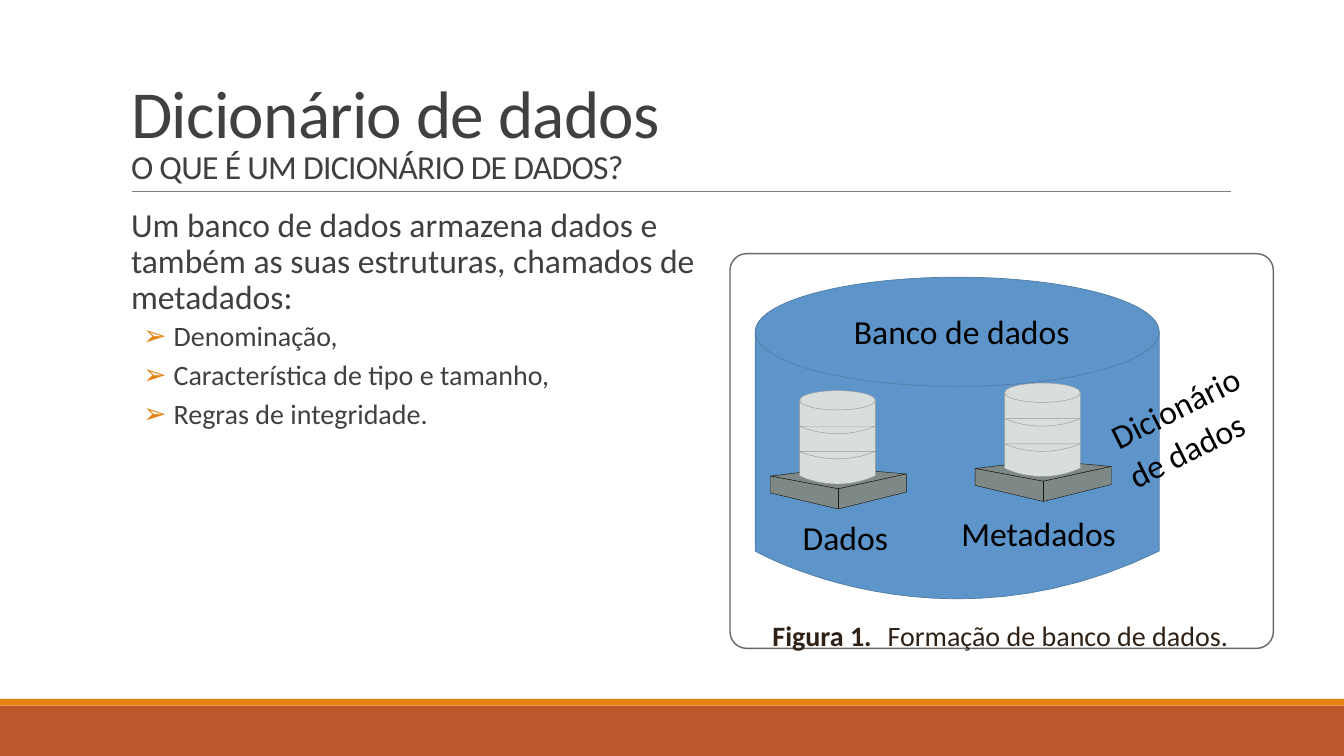
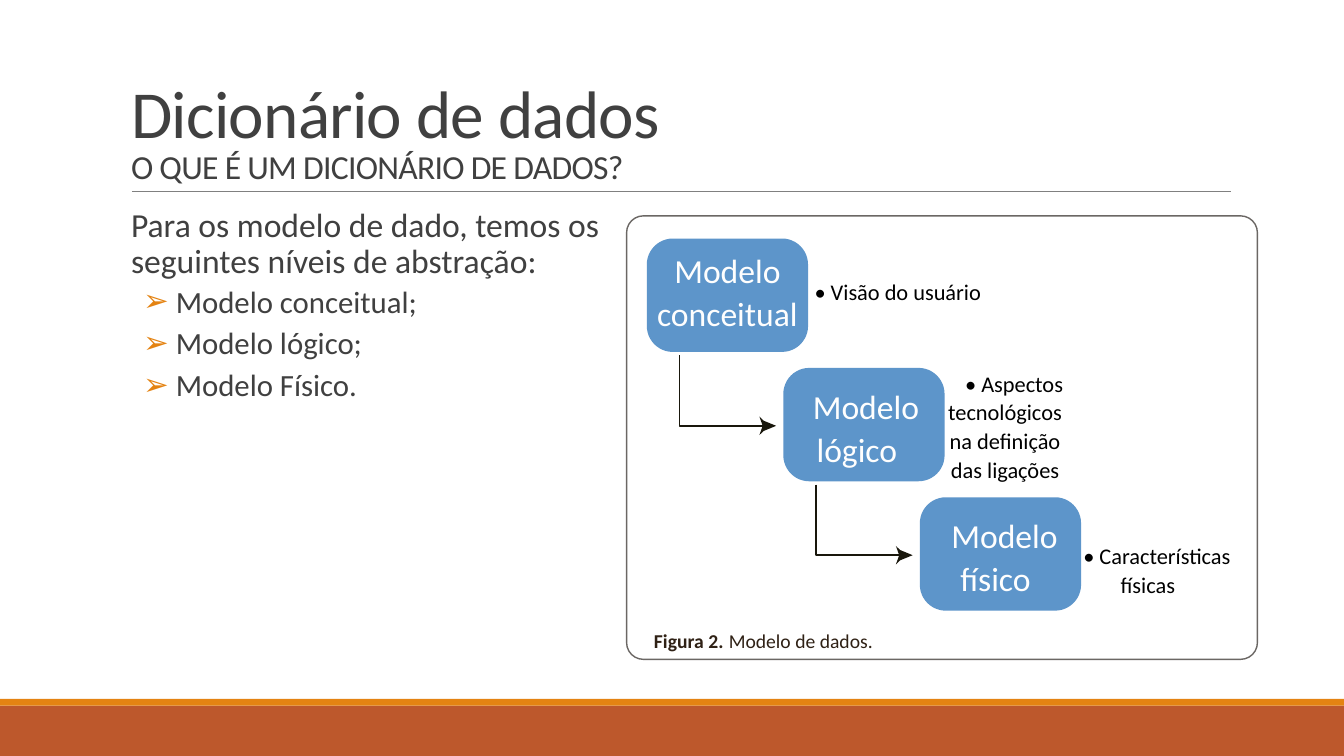
from collections import namedtuple
from dataclasses import dataclass

from lxml.etree import SubElement
from pptx import Presentation
from pptx.dml.color import RGBColor
from pptx.enum.shapes import MSO_CONNECTOR, MSO_SHAPE
from pptx.enum.text import MSO_ANCHOR, MSO_AUTO_SIZE, PP_ALIGN
from pptx.oxml.ns import qn
from pptx.util import Inches, Pt


@dataclass(frozen=True)
class Theme:
    font: str = "Calibri"
    ink: str = "404040"
    black: str = "000000"
    white: str = "FEFEFE"
    brown: str = "2F2115"
    rust: str = "BD582C"
    gold: str = "E48312"
    rule: str = "808080"
    frame: str = "6B6764"
    blue: str = "5D95CA"
    navy: str = "507DA3"
    pale: str = "D7DEDC"
    ash: str = "9B9A98"
    slate: str = "7E8886"
    dark: str = "19170C"
    head: int = 48
    main: int = 24
    item: int = 20
    wide: int = 22
    note: int = 16
    small: int = 14


T = Theme()
COLS, ROWS = 160, 90
WIDE, HIGH = 13.33, 7.5
LEFT, MID = PP_ALIGN.LEFT, PP_ALIGN.CENTER


class Box(namedtuple("Box", "x y w h")):
    def sub(self, x, y, w, h):
        return Box(self.x + x, self.y + y, w, h)

    def spot(self, x, y):
        return self.x + x * self.w, self.y + y * self.h


def col(n):
    return Inches(n * WIDE / COLS)


def row(n):
    return Inches(n * HIGH / ROWS)


def area(box):
    return col(box.x), row(box.y), col(box.w), row(box.h)


def tint(code):
    return RGBColor.from_string(code)


def paint(shape, fill=None, line=None, width=0.31):
    shape.shadow.inherit = False
    if fill:
        shape.fill.solid()
        shape.fill.fore_color.rgb = tint(fill)
    else:
        shape.fill.background()
    if line:
        shape.line.color.rgb = tint(line)
        shape.line.width = Pt(width)
    else:
        shape.line.fill.background()
    return shape


def draw(slide, kind, box, **look):
    return paint(slide.shapes.add_shape(kind, *area(box)), **look)


def card(slide, box, curve, **look):
    shape = draw(slide, MSO_SHAPE.ROUNDED_RECTANGLE, box, **look)
    shape.adjustments[0] = curve / min(box.w, box.h)
    return shape


def poly(slide, box, dots, close=True, **look):
    spots = [box.spot(*dot) for dot in dots]
    first, *rest = [(col(x), row(y)) for x, y in spots]
    pen = slide.shapes.build_freeform(*first)
    pen.add_line_segments(rest, close=close)
    return paint(pen.convert_to_shape(), **look)


def link(slide, start, end, color, width):
    line = slide.shapes.add_connector(
        MSO_CONNECTOR.STRAIGHT, col(start[0]), row(start[1]), col(end[0]), row(end[1]))
    line.line.color.rgb = tint(color)
    line.line.width = Pt(width)
    SubElement(line._element.spPr, qn("a:effectLst"))
    return line


def elbow(slide, box):
    poly(slide, box, [(0, 0), (0, 1), (1, 1)], close=False, line=T.dark, width=1)
    poly(slide, box.sub(box.w - 0.5, box.h - 1.1, 2, 2.2),
         [(0, 0), (0.25, 0.22), (1, 0.5), (0.25, 0.78), (0, 1), (0.2, 0.5)], fill=T.dark)


def write(para, text, size=T.main, color=T.black, bold=False, align=LEFT, space=1.07,
          before=0, after=8, margin=0, indent=0.18, mark=None, track=0):
    para.alignment, para.line_spacing = align, space
    para.space_before, para.space_after = Pt(before), Pt(after)
    props = para._p.get_or_add_pPr()
    props.set("marL", str(Inches(margin)))
    props.set("indent", str(Inches(indent)))
    if mark:
        tone = SubElement(props, qn("a:buClr"))
        SubElement(tone, qn("a:srgbClr"), val=T.gold)
        SubElement(props, qn("a:buChar"), char=mark)
    elif mark == "":
        SubElement(props, qn("a:buNone"))
    run = para.add_run()
    run.text = text
    run.font.name, run.font.size, run.font.bold = T.font, Pt(size), bold
    run.font.color.rgb = tint(color)
    if track:
        run._r.get_or_add_rPr().set("spc", str(track))


def setup(frame, pad=(0, 0, 0, 0), anchor=MSO_ANCHOR.TOP):
    frame.word_wrap = True
    frame.auto_size = MSO_AUTO_SIZE.NONE
    frame.vertical_anchor = anchor
    (frame.margin_left, frame.margin_top,
     frame.margin_right, frame.margin_bottom) = map(Inches, pad)
    return frame.paragraphs[0]


def label(slide, box, text, turn=0, **style):
    shape = slide.shapes.add_textbox(*area(box))
    shape.rotation = turn
    write(setup(shape.text_frame), text, **style)


def place(shape, box):
    shape.left, shape.top, shape.width, shape.height = area(box)
    return shape.text_frame


def brand(slide, layout):
    parts = [
        draw(slide, MSO_SHAPE.RECTANGLE, Box(0, 84, COLS, 6), fill=T.rust),
        draw(slide, MSO_SHAPE.RECTANGLE, Box(0, 83.2, COLS, 0.8), fill=T.gold),
        link(slide, (15.7, 22.8), (146.5, 22.8), T.rule, 0.5),
    ]
    for part in parts:
        layout.shapes.element.append(part._element)


def title(slide, box, top, sub):
    para = setup(place(slide.shapes.title, box), (0.1, 0.05, 0.1, 0.05), MSO_ANCHOR.BOTTOM)
    style = dict(color=T.ink, space=0.85, after=0, indent=0, track=-50)
    write(para, top, size=T.head, **style)
    para.add_line_break()
    write(para, sub, **style)


def points(slide, box, lead, items, size):
    frame = place(slide.placeholders[1], box)
    para = setup(frame, (0, 0.05, 0, 0.05))
    style = dict(color=T.ink, space=0.9)
    write(para, lead, before=12, after=2, margin=0.1, indent=0, mark="", **style)
    gap = 0.08 + size / 90
    for item in items:
        para = frame.add_paragraph()
        para.level = 1
        write(para, item, size=size, before=2, after=4,
              margin=0.22 + gap, indent=-gap, mark="➢", **style)


def legend(slide, box, name, text, gap, size):
    style = dict(size=size, color=T.brown)
    label(slide, box, name, bold=True, **style)
    label(slide, box.sub(gap, 0, 48, box.h), text, **style)


def bowl(drop):
    steps = [n / 24 for n in range(25)]
    return [((1 - t) ** 3 + 1.38 * t * (1 - t) ** 2, 1 + 3 * t * (1 - t) ** 2 * drop)
            for t in steps]


def tank(slide, box, cap, drop, fill, line, width, bands=()):
    look = dict(fill=fill, line=line, width=width)
    poly(slide, box, [(0, 0), (1, 0)] + bowl(drop / box.h), **look)
    draw(slide, MSO_SHAPE.OVAL, box.sub(0, -cap / 2, box.w, cap), **look)
    for band in bands:
        poly(slide, box.sub(0, band - 1, box.w, 1), bowl(2), **look)


def store(slide, box):
    base = box.sub(0, 9.2, 16.2, 4.9)
    look = dict(fill=T.slate, line=T.dark)
    poly(slide, base, [(0.5, 0), (1, 0.15), (0.5, 0.51), (0, 0.2)], **look)
    poly(slide, base, [(0, 0.2), (0, 0.61), (0.5, 1), (1, 0.59), (1, 0.15), (0.5, 0.51)], **look)
    link(slide, base.spot(0.5, 0.51), base.spot(0.5, 1), T.dark, 0.31)
    tank(slide, box.sub(3.5, 1.15, 9, 9), 2.3, 2.2, T.pale, T.ash, 0.31, (3.1, 6.1))


def vault(slide, box):
    card(slide, box, 2, line=T.frame, width=1)
    tank(slide, box.sub(3, 9.3, 48.1, 26.1), 13, 12.8, T.blue, T.navy, 0.52)
    for x, y in ((4.8, 16.3), (29.2, 15.4)):
        store(slide, box.sub(x, y, 16.2, 14.1))
    for text, x, y, w in (("Banco de dados", 12.6, 6.5, 32.8),
                          ("Dados", 6.5, 31, 16.2),
                          ("Metadados", 25.4, 30.5, 23.6)):
        label(slide, box.sub(x, y, w, 4.5), text)
    label(slide, box.sub(43.6, 15.7, 19.3, 11), "Dicionário de dados", turn=-26.6, align=MID)
    legend(slide, box.sub(2.9, 43.1, 16.2, 2.5), "Figura 1.",
           "Formação de banco de dados.", 13.7, T.item)


def stairs(slide, box):
    card(slide, box, 2, line=T.frame, width=1)
    steps = (
        ("Modelo conceitual", 0, (0, 0, 0, 0.1), "• Visão do usuário", (11.4, 4.5, 34.8, 4.8)),
        ("Modelo lógico", 0.18, (0, 0.03, 0.14, 0),
         "• Aspectos tecnológicos na definição das ligações", (18.65, 0, 15.5, 18.6)),
        ("Modelo físico", 0.18, (0, 0.03, 0.1, 0),
         "• Características físicas", (15.9, 5.1, 22.5, 8.3)),
    )
    for n, (name, indent, pad, note, spot) in enumerate(steps):
        step = box.sub(2.4 + 16.25 * n, 2.7 + 15.4 * n, 19.2, 13.5)
        shape = card(slide, step, 3.1, fill=T.blue)
        para = setup(shape.text_frame, pad, MSO_ANCHOR.MIDDLE)
        write(para, name, color=T.white, align=MID, after=0, indent=indent)
        label(slide, step.sub(*spot), note, size=T.note, align=MID)
        if n < len(steps) - 1:
            elbow(slide, step.sub(3.9, 13.9, 10, 8.4))
    legend(slide, box.sub(1.1, 49, 16.4, 3.8), "Figura 2.", "Modelo de dados.", 8.9, T.small)


def main():
    deck = Presentation()
    deck.slide_width, deck.slide_height = Inches(WIDE), Inches(HIGH)
    layout = deck.slide_layouts[1]
    pages = (
        ("Um banco de dados armazena dados e também as suas estruturas, chamados de metadados:",
         ("Denominação,", "Característica de tipo e tamanho,", "Regras de integridade."),
         T.item, 72.5, vault, Box(86.9, 30.2, 64.7, 47)),
        ("Para os modelo de dado, temos os seguintes níveis de abstração:",
         ("Modelo conceitual;", "Modelo lógico;", "Modelo Físico."),
         T.wide, 65.6, stairs, Box(74.6, 25.7, 75.1, 52.8)),
    )
    for n, (lead, items, size, width, chart, box) in enumerate(pages):
        slide = deck.slides.add_slide(layout)
        if n == 0:
            brand(slide, layout)
        title(slide, Box(14.4, 3.7, 132, 19.1),
              "Dicionário de dados", "O QUE É UM DICIONÁRIO DE DADOS?")
        points(slide, Box(14.4, 24.2, width, 52.8), lead, items, size)
        chart(slide, box)
    deck.save("out.pptx")


if __name__ == "__main__":
    main()
